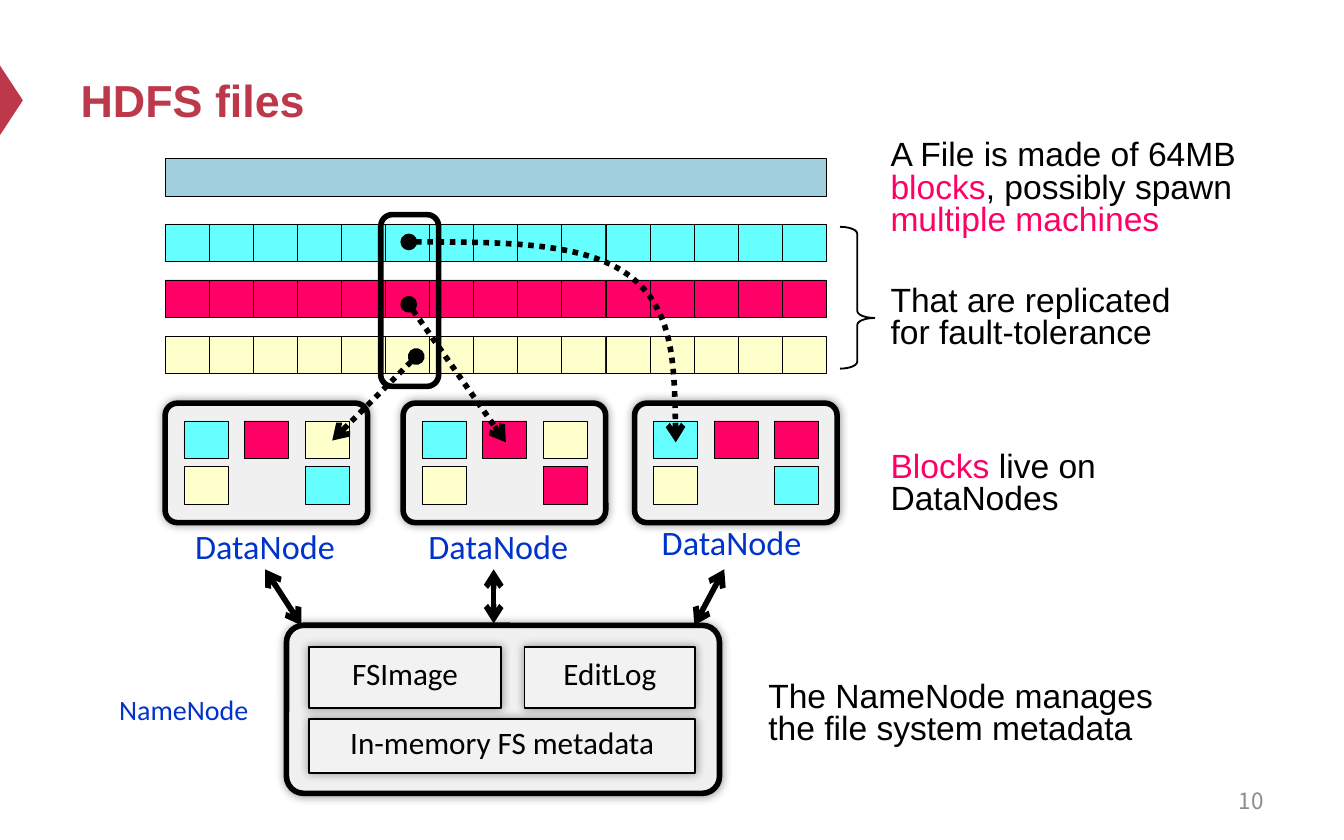
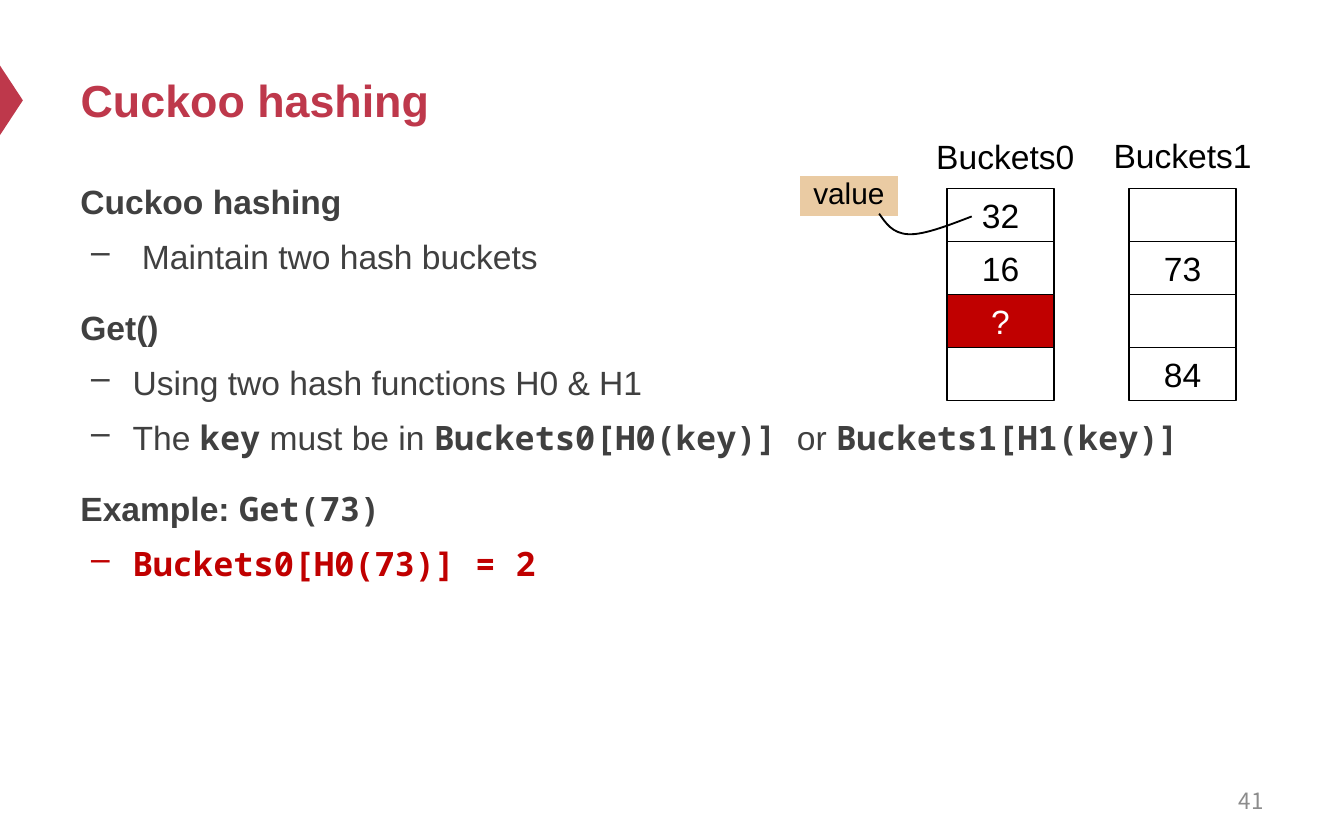
"""Build two lecture slides: HDFS files and cuckoo hashing."""
from lxml.etree import SubElement as Sub
from pptx import Presentation
from pptx.dml.color import RGBColor as Rgb
from pptx.enum.dml import MSO_LINE as Dash
from pptx.enum.shapes import MSO_CONNECTOR as Link, MSO_SHAPE as Kind
from pptx.enum.text import MSO_ANCHOR as Anchor, PP_ALIGN as Align
from pptx.oxml.ns import qn
from pptx.util import Pt

HUES = {
    "brand": "BE384B", "gray": "8C8C8C", "dark": "404040", "black": "000000",
    "white": "FFFFFF", "blue": "0033CC", "file": "A1CFDE", "cyan": "66FFFF",
    "pink": "FF0066", "cream": "FFFFCC", "node": "F0F0F0", "part": "F2F2F2",
    "red": "C00000", "tan": "EACBA3",
}
MONO = {"font": "Noto Sans Mono", "bold": True}
PINK = {"color": "pink"}

CODES = {"c": "cyan", "p": "pink", "y": "cream"}
BLOCK = (23.6, 20)
STRIP = (88.5, 120, 15)
NODES = [
    (88.5, ("cpy", "y c"), (80, 282)),
    (216, ("cpy", "y p"), (205, 282)),
    (340, ("cpp", "y c"), (330, 280)),
]
PARTS = [
    ("FSImage", (165.5, 346.5, 103, 33), 0.7),
    ("EditLog", (281, 346.5, 91.5, 33), 0.7),
    ("In-memory FS metadata", (165.5, 385, 207, 29), 0.8),
]
COPIES = [((223, 191), (178, 236)), ((219, 163), (271, 237))]
ROUTE = [(219, 129.6), (266.5, 129.6), (313, 129.6), (337, 147.6),
         (361, 165.6), (361.5, 201.5), (362, 237)]
TALKS = [((142, 305), (161.5, 335)), ((388, 305), (372, 335)),
         ((264.5, 305), (264.5, 334))]
NOTES = [
    ((470, 72, 230, 60), ["A File is made of 64MB ", ("blocks", PINK),
                          ", possibly spawn ", ("multiple machines", PINK)]),
    ((470, 150, 184, 42), ["That are replicated for fault-tolerance"]),
    ((470, 239, 184, 42), [("Blocks", PINK), " live on DataNodes"]),
    ((404.5, 362, 243, 42), ["The NameNode manages the file system metadata"]),
]

POINTS = [
    (0, ["Cuckoo hashing"]),
    (1, [" Maintain two hash buckets"]),
    (0, ["Get()"]),
    (1, ["Using two hash functions H0 & H1"]),
    (1, ["The ", ("key", MONO), " must be in ", ("Buckets0[H0(key)] ", MONO),
         "or ", ("Buckets1[H1(key)]", MONO)]),
    (0, ["Example: ", ("Get(73)", MONO)]),
    (1, [("Buckets0[H0(73)] = 2", {**MONO, "color": "red"})]),
]
BUCKETS = [
    ("Buckets0", 507.5, (494.5, 69), ["32", "16", "?", ""]),
    ("Buckets1", 605, (589.5, 68.5), ["", "73", "", "84"]),
]
CELL = (57, 28.4)
HOOK = [(520.6, 116), (507.6, 121), (494.6, 126), (486.5, 125.5),
        (478, 125), (474.5, 119.5), (471, 114.5)]


def rgb(name):
    return Rgb.from_string(HUES[name])


def pts(vals):
    return [Pt(val) for val in vals]


def style(run, size, color, font, bold):
    run.font.size = Pt(size)
    run.font.color.rgb = rgb(color)
    run.font.name = font
    run.font.bold = bold


def write(shape, text, size=18, color="black", font="Arial", bold=False,
          align=Align.LEFT, anchor=Anchor.TOP, space=None, inset=None):
    """Fill a shape with one string, one list of runs, or (level, runs) pairs."""
    frame = shape.text_frame
    frame.word_wrap = True
    frame.vertical_anchor = anchor
    if inset is not None:
        frame.margin_left = frame.margin_right = Pt(inset)
        frame.margin_top = frame.margin_bottom = Pt(inset)
    if isinstance(text, str):
        text = [text]
    paired = isinstance(text[0], tuple) and isinstance(text[0][0], int)
    for num, (level, runs) in enumerate(text if paired else [(0, text)]):
        para = frame.add_paragraph() if num else frame.paragraphs[0]
        para.alignment = align
        if space:
            para.line_spacing = space
        if num:
            para.space_before = Pt(3.6 if level else 12)
        if level:
            para.level = level
            props = para._p.get_or_add_pPr()
            props.set("marL", str(Pt(28)))
            props.set("indent", str(Pt(-22.3)))
            Sub(props, qn("a:buChar"), char="–")
        for item in runs:
            words, extra = (item, {}) if isinstance(item, str) else item
            run = para.add_run()
            run.text = words
            base = dict(size=size, color=color, font=font,
                        bold=bold or (paired and not level))
            style(run, **{**base, **extra})


def label(slide, at, text, **form):
    write(slide.shapes.add_textbox(*pts(at)), text, **form)


def box(slide, at, fill=None, line="black", width=0.25, kind=Kind.RECTANGLE,
        adjust=(), glow=False):
    shape = slide.shapes.add_shape(kind, *pts(at))
    for num, val in enumerate(adjust):
        shape.adjustments[num] = val
    if fill:
        shape.fill.solid()
        shape.fill.fore_color.rgb = rgb(fill)
    else:
        shape.fill.background()
    if line:
        shape.line.color.rgb = rgb(line)
        shape.line.width = Pt(width)
    else:
        shape.line.fill.background()
    shape.shadow.inherit = False
    if glow:
        effects = shape._element.spPr.find(qn("a:effectLst"))
        shade = Sub(effects, qn("a:outerShdw"), blurRad=str(Pt(5)), dist="0", dir="0")
        tint = Sub(shade, qn("a:srgbClr"), val=HUES["black"])
        Sub(tint, qn("a:alpha"), val="40000")
    return shape


def stroke(shape, width=3, dash=None, head=None, tail=None):
    shape.line.color.rgb = rgb("black")
    shape.line.width = Pt(width)
    if dash:
        shape.line.dash_style = dash
    props = shape._element.spPr
    for tag, end in (("a:headEnd", head), ("a:tailEnd", tail)):
        if end:
            Sub(props.find(qn("a:ln")), qn(tag), type=end)
    Sub(props, qn("a:effectLst"))


def arrow(slide, start, end, **form):
    stroke(slide.shapes.add_connector(Link.STRAIGHT, *pts(start + end)), **form)


def curve(slide, knots, **form):
    start, *rest = [pts(knot) for knot in knots]
    pen = slide.shapes.build_freeform(*start)
    shape = pen.add_line_segments(rest, close=False).convert_to_shape()
    shape.fill.background()
    track = shape._element.spPr.find(".//" + qn("a:path"))
    lines = track.findall(qn("a:lnTo"))
    for num in range(0, len(lines), 3):
        bend = Sub(track, qn("a:cubicBezTo"))
        for line in lines[num:num + 3]:
            bend.append(line[0])
            track.remove(line)
    stroke(shape, **form)


def start(deck, title, number):
    slide = deck.slides.add_slide(deck.slide_layouts[5])
    head = slide.shapes.title
    head.left, head.top, head.width, head.height = pts((36, 18, 648, 70.5))
    write(head, title, size=24, color="brand", bold=True, anchor=Anchor.MIDDLE)
    mark = box(slide, (-13, 47.5, 38, 12.5), "brand", None, kind=Kind.ISOSCELES_TRIANGLE)
    mark.rotation = 90
    label(slide, (516, 417, 168, 24), number, size=12, color="gray",
          font="Noto Sans CJK SC", align=Align.RIGHT, anchor=Anchor.MIDDLE)
    return slide


def files(deck):
    slide = start(deck, "HDFS files", "10")
    wide, tall = BLOCK
    left, top, count = STRIP
    panel = dict(fill="node", width=3, kind=Kind.ROUNDED_RECTANGLE,
                 adjust=[0.102], glow=True)
    name = dict(color="blue", font="Calibri", align=Align.CENTER, space=0.8)
    box(slide, (left, 85, wide * count, tall), "file")
    for row, hue in enumerate(CODES.values()):
        for col in range(count):
            box(slide, (left + col * wide, top + row * 30, wide, tall), hue)

    box(slide, (153.5, 335, 232, 90), **panel)
    for text, at, space in PARTS:
        part = box(slide, at, "part", width=1, glow=True)
        write(part, text, size=16.7, font="Calibri", align=Align.CENTER,
              anchor=Anchor.MIDDLE, space=space, inset=0)
    for x, rows, spot in NODES:
        box(slide, (x, 216, 108.5, 64), **panel)
        for row, codes in enumerate(rows):
            for col, code in enumerate(codes):
                if code in CODES:
                    box(slide, (x + 10 + col * 32.5, 225.5 + row * 24.5, wide, tall),
                        CODES[code])
        label(slide, spot + (124, 25), "DataNode", size=18.3, **name)
    label(slide, (48, 371, 101, 22.5), "NameNode", size=15, **name)

    dotted = dict(dash=Dash.ROUND_DOT, head="oval", tail="arrow")
    for ends in COPIES:
        arrow(slide, *ends, **dotted)
    curve(slide, ROUTE, **dotted)
    box(slide, (204, 115, 31, 92), width=3, kind=Kind.ROUNDED_RECTANGLE, adjust=[0.2])
    for ends in TALKS:
        arrow(slide, *ends, head="arrow", tail="arrow")
    box(slide, (450, 121.5, 18.5, 76), width=1, kind=Kind.RIGHT_BRACE,
        adjust=[0.202, 0.643])
    for at, runs in NOTES:
        label(slide, at, runs, space=0.8)


def cuckoo(deck):
    slide = start(deck, "Cuckoo hashing", "41")
    label(slide, (36, 89, 648, 297), POINTS, color="dark", space=1.2)
    wide, tall = CELL
    for name, x, spot, vals in BUCKETS:
        label(slide, spot + (94.5, 29), name)
        for row, val in enumerate(vals):
            miss = val == "?"
            cell = box(slide, (x, 101 + row * tall, wide, tall),
                       "red" if miss else None, width=1)
            if val:
                write(cell, val, color="white" if miss else "black",
                      align=Align.CENTER, anchor=Anchor.MIDDLE, inset=0)
    tag = box(slide, (427.5, 93.5, 54.5, 23.5), "tan", "white", 2)
    write(tag, "value", size=16, align=Align.CENTER, inset=0)
    curve(slide, HOOK, width=1)


def main():
    deck = Presentation()
    deck.slide_width, deck.slide_height = pts((720, 450))
    files(deck)
    cuckoo(deck)
    deck.save("out.pptx")


if __name__ == "__main__":
    main()
